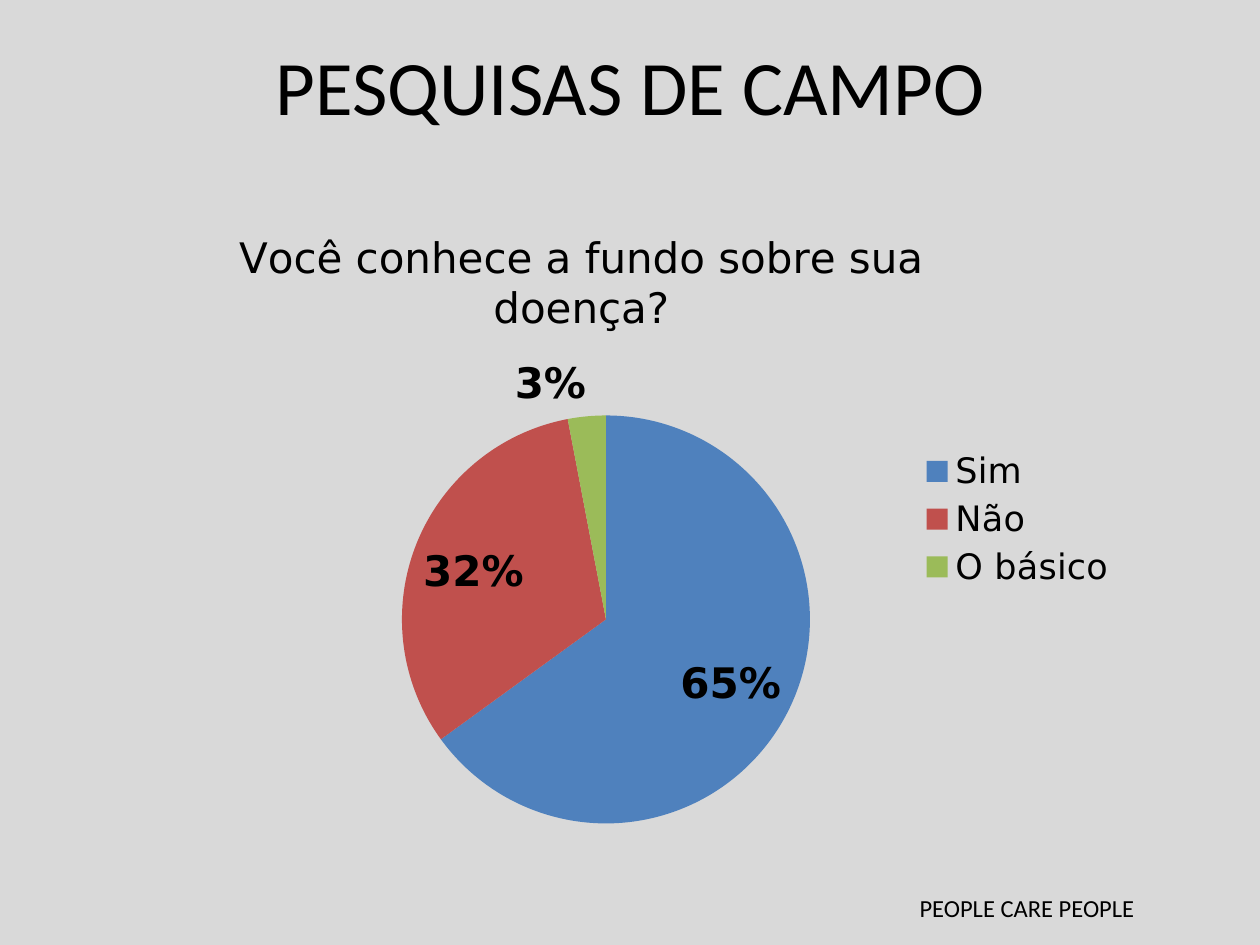
from lxml.etree import SubElement
from pptx import Presentation
from pptx.chart.data import CategoryChartData as Data
from pptx.dml.color import RGBColor as RGB
from pptx.enum.chart import XL_CHART_TYPE as Kind, XL_LABEL_POSITION as Spot
from pptx.enum.chart import XL_LEGEND_POSITION as Side
from pptx.enum.text import MSO_ANCHOR as Anchor, PP_ALIGN as Align
from pptx.oxml.ns import qn
from pptx.util import Inches, Pt

GRAY = RGB(0xD9, 0xD9, 0xD9)
BLACK = RGB(0, 0, 0)
BLUE = RGB(0x4F, 0x81, 0xBD)
RED = RGB(0xC0, 0x50, 0x4D)
GREEN = RGB(0x9B, 0xBB, 0x59)
ASK = "Você conhece a fundo sobre sua doença?"
VOTES = [("Sim", 65, BLUE), ("Não", 32, RED), ("O básico", 3, GREEN)]


def style(font, size, face="DejaVu Sans", bold=False):
    """Set size, face and weight of a black font."""
    font.size, font.name, font.bold = Pt(size), face, bold
    font.color.rgb = BLACK


def write(frame, text, size=14, face="Calibri", align=Align.LEFT, anchor=Anchor.TOP):
    """Fill a text frame with one formatted paragraph."""
    frame.word_wrap = True
    frame.vertical_anchor = anchor
    para = frame.paragraphs[0]
    para.alignment = align
    run = para.add_run()
    run.text = text
    style(run.font, size, face)


def place(shape, box):
    """Move a shape to a box given in inches."""
    shape.left, shape.top, shape.width, shape.height = map(Inches, box)


def pin(node, slot, **sizes):
    """Give a chart part a manual layout in fractions of the chart."""
    old = node.find(qn("c:layout"))
    if old is not None:
        node.remove(old)
    lay = SubElement(node, qn("c:layout"))
    node.insert(slot, lay)
    man = SubElement(lay, qn("c:manualLayout"))
    if "w" in sizes:
        SubElement(man, qn("c:layoutTarget"), val="inner")
    for key in "xy":
        SubElement(man, qn(f"c:{key}Mode"), val="edge")
    for key, size in sizes.items():
        SubElement(man, qn(f"c:{key}"), val=str(size))


def head(slide, box):
    """Place the slide title."""
    place(slide.shapes.title, box)
    write(slide.shapes.title.text_frame, "PESQUISAS DE CAMPO", size=44,
          align=Align.CENTER, anchor=Anchor.MIDDLE)


def label(plot):
    """Show percentages inside the slices, and the smallest one outside."""
    plot.has_data_labels = True
    marks = plot.data_labels
    marks.show_percentage, marks.show_value = True, False
    marks.number_format, marks.number_format_is_linked = "0%", False
    marks.position = Spot.INSIDE_END
    style(marks.font, 24, bold=True)
    last = plot.series[0].points[len(VOTES) - 1].data_label
    style(last.font, 24, bold=True)
    last.position = Spot.OUTSIDE_END
    ser = plot.series[0].data_labels
    ser.show_percentage, ser.show_value = True, False
    ser.number_format, ser.number_format_is_linked = "0%", False
    ser.position = Spot.INSIDE_END
    style(ser.font, 24, bold=True)
    mark = ser._element.find(qn("c:dLbl"))
    mark.find(qn("c:showVal")).set("val", "0")
    mark.find(qn("c:showPercent")).set("val", "1")


def survey(slide, box):
    """Draw the pie chart of the answers."""
    data = Data()
    data.categories = [name for name, _, _ in VOTES]
    data.add_series(ASK, [count for _, count, _ in VOTES])
    chart = slide.shapes.add_chart(Kind.PIE, *map(Inches, box), data).chart
    style(chart.font, 18, "Calibri")
    chart.has_title = True
    write(chart.chart_title.text_frame, ASK, size=24, face="DejaVu Sans",
          align=Align.CENTER)
    pin(chart.chart_title._element, 1, x=0.04, y=0.04)
    pin(chart._chartSpace.chart.plotArea, 0, x=0.22, y=0.34, w=0.44, h=0.63)
    chart.has_legend = True
    chart.legend.position = Side.RIGHT
    chart.legend.include_in_layout = False
    style(chart.legend.font, 20)
    plot = chart.plots[0]
    plot.vary_by_categories = True
    for spot, (_, _, color) in enumerate(VOTES):
        fill = plot.series[0].points[spot].format.fill
        fill.solid()
        fill.fore_color.rgb = color
    label(plot)


def foot(slide, box):
    """Add the motto at the bottom."""
    text = slide.shapes.add_textbox(*map(Inches, box))
    write(text.text_frame, "PEOPLE CARE PEOPLE")


def main():
    """Build and save the slide."""
    deck = Presentation()
    deck.slide_width, deck.slide_height = Inches(10), Inches(7.5)
    slide = deck.slides.add_slide(deck.slide_layouts[5])
    back = slide.background.fill
    back.solid()
    back.fore_color.rgb = GRAY
    foot(slide, (7.2, 7.04, 2.26, 0.34))
    head(slide, (1.18, 0, 7.65, 1.34))
    survey(slide, (1.54, 1.55, 7.43, 5.14))
    deck.save("out.pptx")


if __name__ == "__main__":
    main()
